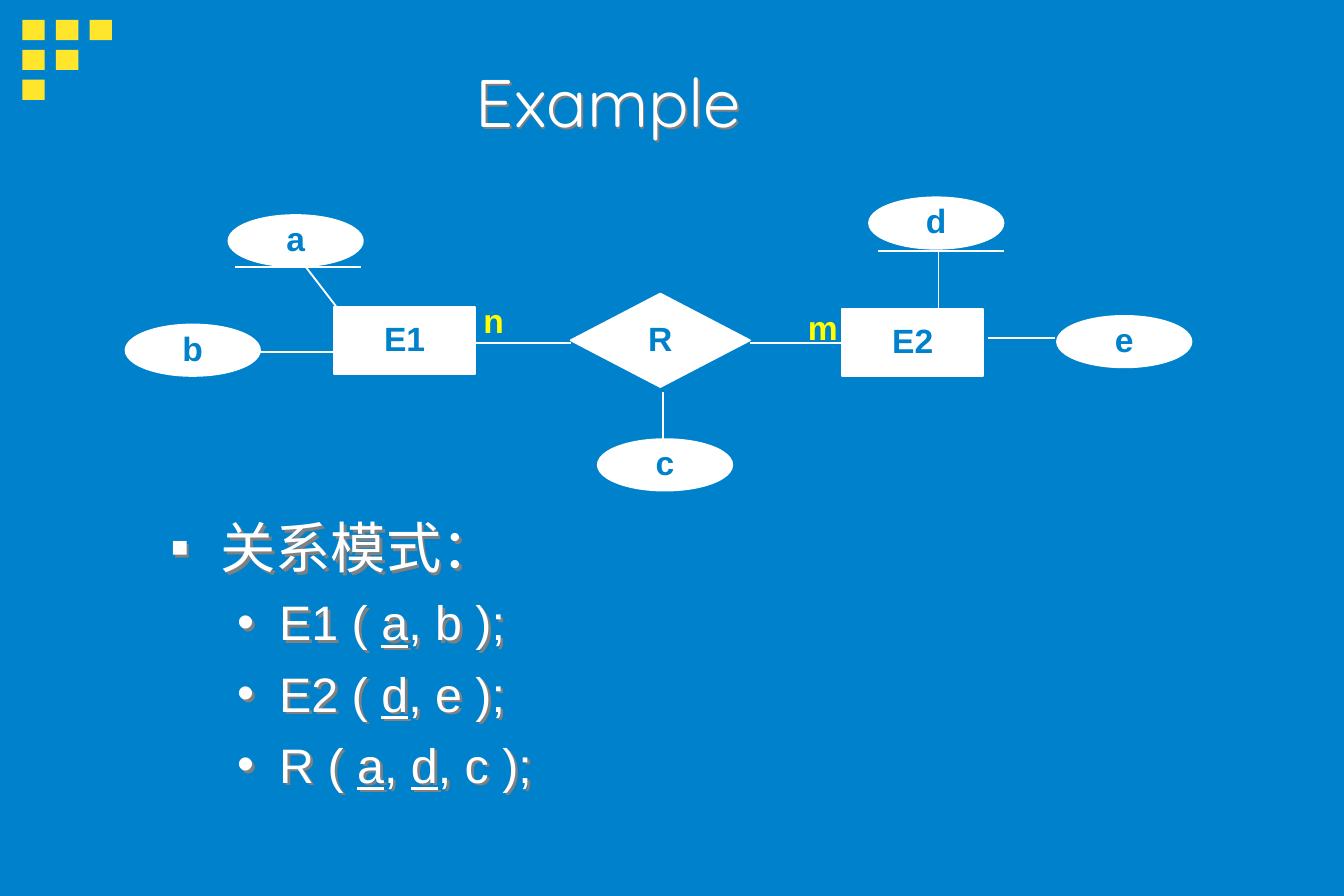
from dataclasses import dataclass

from lxml.etree import SubElement
from pptx import Presentation
from pptx.dml.color import RGBColor
from pptx.enum.shapes import MSO_CONNECTOR, MSO_SHAPE
from pptx.enum.text import MSO_ANCHOR, PP_ALIGN
from pptx.oxml.ns import qn
from pptx.util import Pt


@dataclass(frozen=True)
class Theme:
    background: RGBColor = RGBColor(0x00, 0x81, 0xCB)
    light: RGBColor = RGBColor(0xFF, 0xFF, 0xFF)
    accent: RGBColor = RGBColor(0xFF, 0xE6, 0x2D)
    cardinality: RGBColor = RGBColor(0xFF, 0xFF, 0x00)
    shadow: str = "808080"
    title_font: str = "Quicksand"
    body_font: str = "Arial"
    title_size: float = 36
    heading_size: float = 29.6
    schema_size: float = 25.9
    label_size: float = 18


THEME = Theme()


def set_font(paragraph, name, size, color, bold=False):
    font = paragraph.font
    font.name, font.size, font.bold = name, Pt(size), bold
    font.color.rgb = color


def place(shape, left, top, width, height):
    shape.left, shape.top = Pt(left), Pt(top)
    shape.width, shape.height = Pt(width), Pt(height)


def add_text_shadow(shape, distance):
    properties = shape._element.spPr
    shape.fill.background()
    effects = SubElement(properties, qn("a:effectLst"))
    shadow = SubElement(effects, qn("a:outerShdw"), dist=str(Pt(distance)), dir="2700000", algn="ctr")
    SubElement(shadow, qn("a:srgbClr"), val=THEME.shadow)


def add_bullet(paragraph, character, margin, indent):
    properties = paragraph._p.get_or_add_pPr()
    properties.set("marL", str(Pt(margin)))
    properties.set("indent", str(Pt(-indent)))
    color = SubElement(properties, qn("a:buClr"))
    SubElement(color, qn("a:srgbClr"), val=str(THEME.light))
    SubElement(properties, qn("a:buFont"), typeface=THEME.body_font)
    SubElement(properties, qn("a:buChar"), char=character)


def add_corner_squares(slide, left, top):
    for row in range(3):
        for column in range(3 - row):
            square = slide.shapes.add_shape(
                MSO_SHAPE.RECTANGLE, Pt(left + 18 * column), Pt(top + 16 * row), Pt(12), Pt(10.8)
            )
            square.shadow.inherit = False
            square.fill.solid()
            square.fill.fore_color.rgb = THEME.accent
            square.line.fill.background()


def add_title(slide, left, top, width, height):
    title = slide.shapes.title
    place(title, left, top, width, height)
    add_text_shadow(title, 1.3)
    frame = title.text_frame
    frame.text = "Example"
    frame.vertical_anchor = MSO_ANCHOR.MIDDLE
    frame.word_wrap = False
    paragraph = frame.paragraphs[0]
    paragraph.alignment = PP_ALIGN.LEFT
    set_font(paragraph, THEME.title_font, THEME.title_size, THEME.light)


def add_label(shape, text, color):
    frame = shape.text_frame
    frame.text = text
    paragraph = frame.paragraphs[0]
    paragraph.alignment = PP_ALIGN.CENTER
    paragraph.line_spacing = 0.9
    set_font(paragraph, THEME.body_font, THEME.label_size, color, bold=True)


def add_node(slide, kind, text, left, top, width, height):
    node = slide.shapes.add_shape(kind, Pt(left), Pt(top), Pt(width), Pt(height))
    node.shadow.inherit = False
    node.fill.solid()
    node.fill.fore_color.rgb = THEME.light
    node.line.color.rgb = THEME.light
    node.line.width = Pt(1)
    node.text_frame.word_wrap = False
    node.text_frame.vertical_anchor = MSO_ANCHOR.MIDDLE
    add_label(node, text, THEME.background)
    return node


def add_line(slide, start_x, start_y, end_x, end_y):
    line = slide.shapes.add_connector(
        MSO_CONNECTOR.STRAIGHT, Pt(start_x), Pt(start_y), Pt(end_x), Pt(end_y)
    )
    line.line.color.rgb = THEME.light
    line.line.width = Pt(1)
    SubElement(line._element.spPr, qn("a:effectLst"))
    return line


def add_entity_diagram(slide, left, top):
    add_node(slide, MSO_SHAPE.RECTANGLE, "E1", left + 112, top + 58.5, 75.5, 36)
    second_entity = add_node(slide, MSO_SHAPE.RECTANGLE, "E2", left + 384.25, top + 59.5, 75.5, 36)
    add_node(slide, MSO_SHAPE.DIAMOND, "R", left + 238.75, top + 51.25, 96, 50)
    add_line(slide, left + 187.5, top + 77.5, left + 239, top + 77.5)
    relation_link = add_line(slide, left + 335, top + 77.5, left + 384.25, top + 77.5)
    relation_link.end_connect(second_entity, 1)

    attributes = (
        ("a", 55.4, 9.2),
        ("b", 0.3, 67.8),
        ("c", 253.3, 129.2),
        ("d", 398.6, -0.3),
        ("e", 499.3, 63.2),
    )
    for text, x, y in attributes:
        add_node(slide, MSO_SHAPE.OVAL, text, left + x, top + y, 72, 27.5)

    attribute_links = (
        (96.5, 36.5, 113, 58),
        (72, 82.5, 114.5, 82.5),
        (288, 104, 288, 131.5),
        (435.8, 28.5, 435.8, 61),
        (462.3, 75, 498.3, 75),
    )
    key_underlines = ((59, 36.8, 126.2, 36.8), (403.3, 28.2, 470.8, 28.2))
    for start_x, start_y, end_x, end_y in attribute_links + key_underlines:
        add_line(slide, left + start_x, top + start_y, left + end_x, top + end_y)

    for text, x, y in (("n", 180.2, 53.7), ("m", 356.5, 57.5)):
        label = slide.shapes.add_textbox(Pt(left + x), Pt(top + y), Pt(34.5), Pt(26.5))
        label.text_frame.word_wrap = True
        add_label(label, text, THEME.cardinality)


def add_schema_list(slide, left, top, width, height):
    box = slide.shapes.add_textbox(Pt(left), Pt(top), Pt(width), Pt(height))
    add_text_shadow(box, 2)
    frame = box.text_frame
    frame.word_wrap = True
    heading = frame.paragraphs[0]
    heading.text = "关系模式："
    add_bullet(heading, "▪", 27, 27)
    set_font(heading, THEME.body_font, THEME.heading_size, THEME.light)

    schemas = (("E1", ("a",), "b"), ("E2", ("d",), "e"), ("R", ("a", "d"), "c"))
    for name, keys, attribute in schemas:
        paragraph = frame.add_paragraph()
        paragraph.level = 1
        paragraph.space_before = Pt(7)
        add_bullet(paragraph, "•", 58.5, 22.5)
        set_font(paragraph, THEME.body_font, THEME.schema_size, THEME.light)
        paragraph.add_run().text = f"{name} ( "
        for key in keys[:-1]:
            add_key(paragraph, key)
            paragraph.add_run().text = ", "
        add_key(paragraph, keys[-1])
        paragraph.add_run().text = f", {attribute} );"


def add_key(paragraph, key):
    run = paragraph.add_run()
    run.text = key
    run.font.underline = True


def main():
    presentation = Presentation()
    presentation.slide_width, presentation.slide_height = Pt(720), Pt(479.75)
    slide = presentation.slides.add_slide(presentation.slide_layouts[5])
    slide.background.fill.solid()
    slide.background.fill.fore_color.rgb = THEME.background
    add_corner_squares(slide, 12, 10.7)
    add_title(slide, 247.75, 33, 186.5, 42)
    add_schema_list(slide, 84, 271.25, 564, 157)
    add_entity_diagram(slide, 67, 106)
    presentation.save("out.pptx")


if __name__ == "__main__":
    main()
